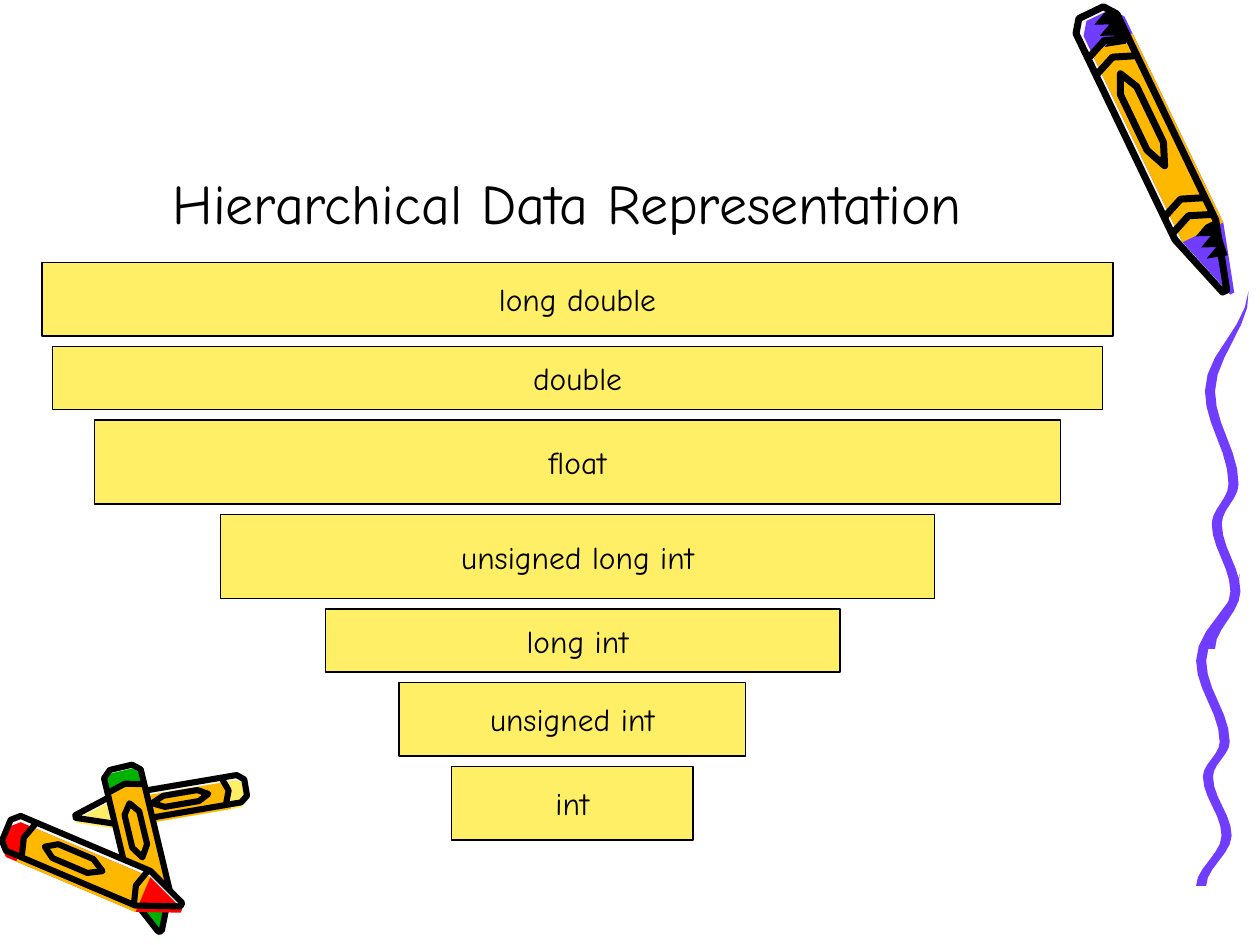
import math
from dataclasses import dataclass
from itertools import pairwise
from typing import Any, NamedTuple, Optional

from pptx import Presentation
from pptx import util as u
from pptx.dml.color import RGBColor
from pptx.enum import shapes, text


@dataclass(frozen=True)
class Theme:
    font: str = "Comic Neue"
    title_size: int = 32
    label_size: int = 18
    black: str = "000000"
    white: str = "F8F8F8"
    yellow: str = "FFEF66"
    orange: str = "FFB800"
    purple: str = "703DFF"
    red: str = "FF0000"
    green: str = "00B200"


class Point(NamedTuple):
    x: float
    y: float


class Bar(NamedTuple):
    """Lengths in twelfths of an inch."""
    label: str
    left: int
    width: int
    height: int


class Strand(NamedTuple):
    left: float
    top: float
    width: float
    height: float


@dataclass(frozen=True)
class Crayon:
    """Ends and lengths in inches; bands and scribbles are fractions of the length."""
    wax: str
    tail: Point
    tip: Point
    half_width: float
    color_shift: Point
    stroke: float = 3.5
    bands: tuple[float, ...] = (0.13, 0.77)
    scribbles: tuple[float, ...] = ()

    def place(self, outline: list[tuple[float, float]], shift: Point = Point(0, 0)) -> list[Point]:
        """Turn (along, across) pairs into slide points."""
        run, rise = self.tip.x - self.tail.x, self.tip.y - self.tail.y
        side = self.half_width / math.hypot(run, rise)
        return [Point(self.tail.x + along * run - across * side * rise + shift.x,
                      self.tail.y + along * rise + across * side * run + shift.y)
                for along, across in outline]


THEME = Theme()
BAR_TOP, BAR_GAP = 25, 1
BARS = [
    Bar("long double", 4, 102, 7),
    Bar("double", 5, 100, 6),
    Bar("float", 9, 92, 8),
    Bar("unsigned long int", 21, 68, 8),
    Bar("long int ", 31, 49, 6),
    Bar("unsigned int", 38, 33, 7),
    Bar("int", 43, 23, 7),
]

# Crayon parts: fraction of the length along, half widths across
BARREL = [(0.04, -1), (0, -0.6), (0, 0.6), (0.04, 1), (0.78, 1), (1, 0.1), (1, -0.1), (0.78, -1)]
WRAPPER = [(0.1, -1), (0.1, 1), (0.78, 1), (0.78, -1)]
OVAL = [(0.22, 0), (0.28, 0.4), (0.48, 0.4), (0.55, 0), (0.48, -0.4), (0.28, -0.4)]
BAND_BEND = 0.03
SCRIBBLE_TEETH, SCRIBBLE_LENGTH = 3, 0.12

CRAYONS = [
    Crayon(THEME.yellow, Point(1.95, 6.25), Point(0.6, 6.48), 0.11, Point(0, 0.04)),
    Crayon(THEME.green, Point(0.96, 6.09), Point(1.27, 7.39), 0.15, Point(0, 0.03)),
    Crayon(THEME.red, Point(0.05, 6.59), Point(1.44, 7.18), 0.15, Point(0, 0.05)),
    Crayon(THEME.purple, Point(8.66, 0.1), Point(9.72, 2.31), 0.18, Point(0.06, 0.02),
           stroke=4, bands=(0.13, 0.19, 0.7, 0.76), scribbles=(0.02, 0.78)),
]

# Squiggle: turning points as (down, across) fractions of a strand
TURNS = [(0, 0.97), (0.28, 0.12), (0.54, 0.64), (0.65, 0.27), (0.84, 0.68), (1, 0.12)]
STEPS_PER_TURN = 6
RIBBON_HALF = 0.04
STRANDS = [Strand(9.49, 4.55, 0.36, 2.48), Strand(9.56, 2.31, 0.36, 2.84)]


def rgb(value: str) -> RGBColor:
    return RGBColor.from_string(value)


def twelfths(count: int) -> u.Length:
    return u.Inches(count / 12)


def draw_outline(group: Any, points: list[Point], fill: Optional[str] = None,
                 stroke: float = 0, close: bool = True) -> None:
    grid = 1000
    start, *rest = [(round(point.x * grid), round(point.y * grid)) for point in points]
    builder = group.shapes.build_freeform(*start, scale=u.Inches(1) / grid)
    builder.add_line_segments(rest, close=close)
    outline = builder.convert_to_shape()
    outline.shadow.inherit = False
    if fill:
        outline.fill.solid()
        outline.fill.fore_color.rgb = rgb(fill)
    else:
        outline.fill.background()
    if stroke:
        outline.line.color.rgb = rgb(THEME.black)
        outline.line.width = u.Pt(stroke)
    else:
        outline.line.fill.background()


def scribble(start: float) -> list[tuple[float, float]]:
    """A zigzag patch of shade along one side of a crayon."""
    step = SCRIBBLE_LENGTH / (2 * SCRIBBLE_TEETH)
    teeth = [(start + index * step, 0.1 if index % 2 else -0.5)
             for index in range(2 * SCRIBBLE_TEETH)]
    return [(start, -1), *teeth, (start + SCRIBBLE_LENGTH, -0.8)]


def draw_crayon(page: Any, crayon: Crayon) -> None:
    group = page.shapes.add_group_shape()

    # Colours sit slightly beside the black line work
    draw_outline(group, crayon.place(BARREL), THEME.white)
    for part, color in ((BARREL, crayon.wax), (WRAPPER, THEME.orange)):
        draw_outline(group, crayon.place(part, crayon.color_shift), color)

    # Line work
    for part in (BARREL, OVAL):
        draw_outline(group, crayon.place(part), stroke=crayon.stroke)
    for along in crayon.bands:
        band = [(along, -1), (along - BAND_BEND, 0), (along, 1)]
        draw_outline(group, crayon.place(band), stroke=crayon.stroke, close=False)
    for start in crayon.scribbles:
        draw_outline(group, crayon.place(scribble(start)), THEME.black)


def squiggle_center() -> list[tuple[float, float]]:
    """Ease from each turning point to the next along half a cosine wave."""
    center = [TURNS[0]]
    for (down, across), (next_down, next_across) in pairwise(TURNS):
        for step in range(1, STEPS_PER_TURN + 1):
            share = step / STEPS_PER_TURN
            ease = (1 - math.cos(math.pi * share)) / 2
            center.append((down + share * (next_down - down),
                           across + ease * (next_across - across)))
    return center


def draw_strand(group: Any, strand: Strand) -> None:
    edges: dict[int, list[Point]] = {-1: [], 1: []}
    for down, across in squiggle_center():
        half = RIBBON_HALF * min(1, 5 * down)  # pointed at the top
        for side, edge in edges.items():
            edge.append(Point(strand.left + across * strand.width + side * half,
                              strand.top + down * strand.height))
    draw_outline(group, edges[-1] + edges[1][::-1], THEME.purple)


def write(box: Any, words: str, size: int, frame_format: dict[str, Any]) -> None:
    frame = box.text_frame
    for name, value in frame_format.items():
        setattr(frame, name, value)
    para = frame.paragraphs[0]
    para.alignment = text.PP_ALIGN.CENTER
    span = para.add_run()
    span.text = words
    for name, value in {"name": THEME.font, "size": u.Pt(size)}.items():
        setattr(span.font, name, value)
    span.font.color.rgb = rgb(THEME.black)


def draw_bar(page: Any, bar: Bar, top: int) -> None:
    frame = [twelfths(value) for value in (bar.left, top, bar.width, bar.height)]
    box = page.shapes.add_shape(shapes.MSO_SHAPE.RECTANGLE, *frame)
    box.shadow.inherit = False
    box.fill.solid()
    box.fill.fore_color.rgb = rgb(THEME.yellow)
    box.line.color.rgb = rgb(THEME.black)
    box.line.width = u.Pt(0.75)
    write(box, bar.label, THEME.label_size,
          {"word_wrap": False, "vertical_anchor": text.MSO_ANCHOR.MIDDLE})


def main() -> None:
    deck = Presentation()
    deck.slide_width, deck.slide_height = u.Inches(10), u.Inches(7.5)
    page = deck.slides.add_slide(deck.slide_layouts[6])

    # Decoration
    for crayon in CRAYONS:
        draw_crayon(page, crayon)
    squiggle = page.shapes.add_group_shape()
    for strand in STRANDS:
        draw_strand(squiggle, strand)

    # Title
    title = page.shapes.add_textbox(u.Inches(0.75), u.Inches(0.17), u.Inches(7.51), u.Inches(1.75))
    write(title, "Hierarchical Data Representation", THEME.title_size,
          {"word_wrap": True, "vertical_anchor": text.MSO_ANCHOR.BOTTOM})

    # Stack of types, widest first
    top = BAR_TOP
    for bar in BARS:
        draw_bar(page, bar, top)
        top += bar.height + BAR_GAP

    deck.save("out.pptx")


if __name__ == "__main__":
    main()
